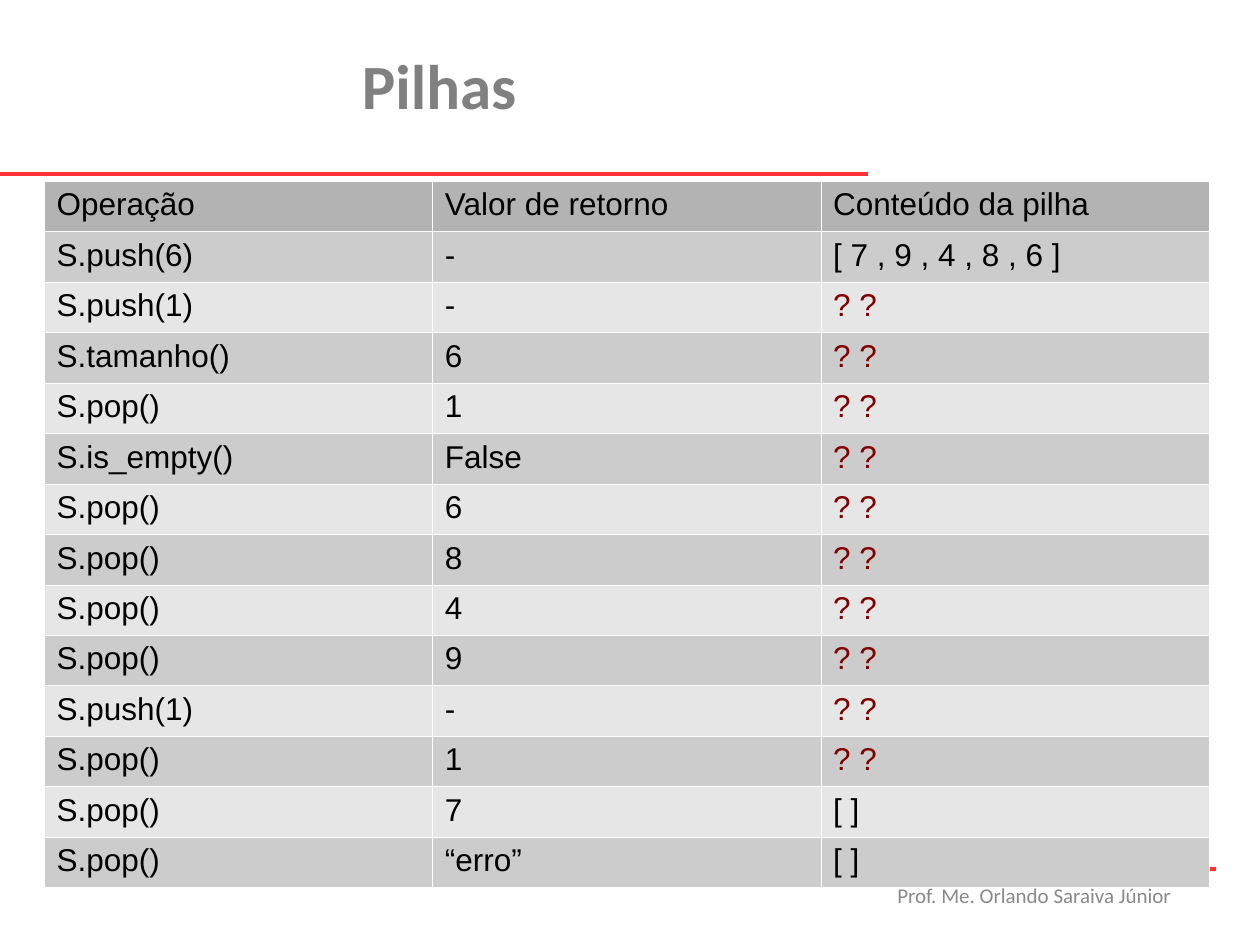
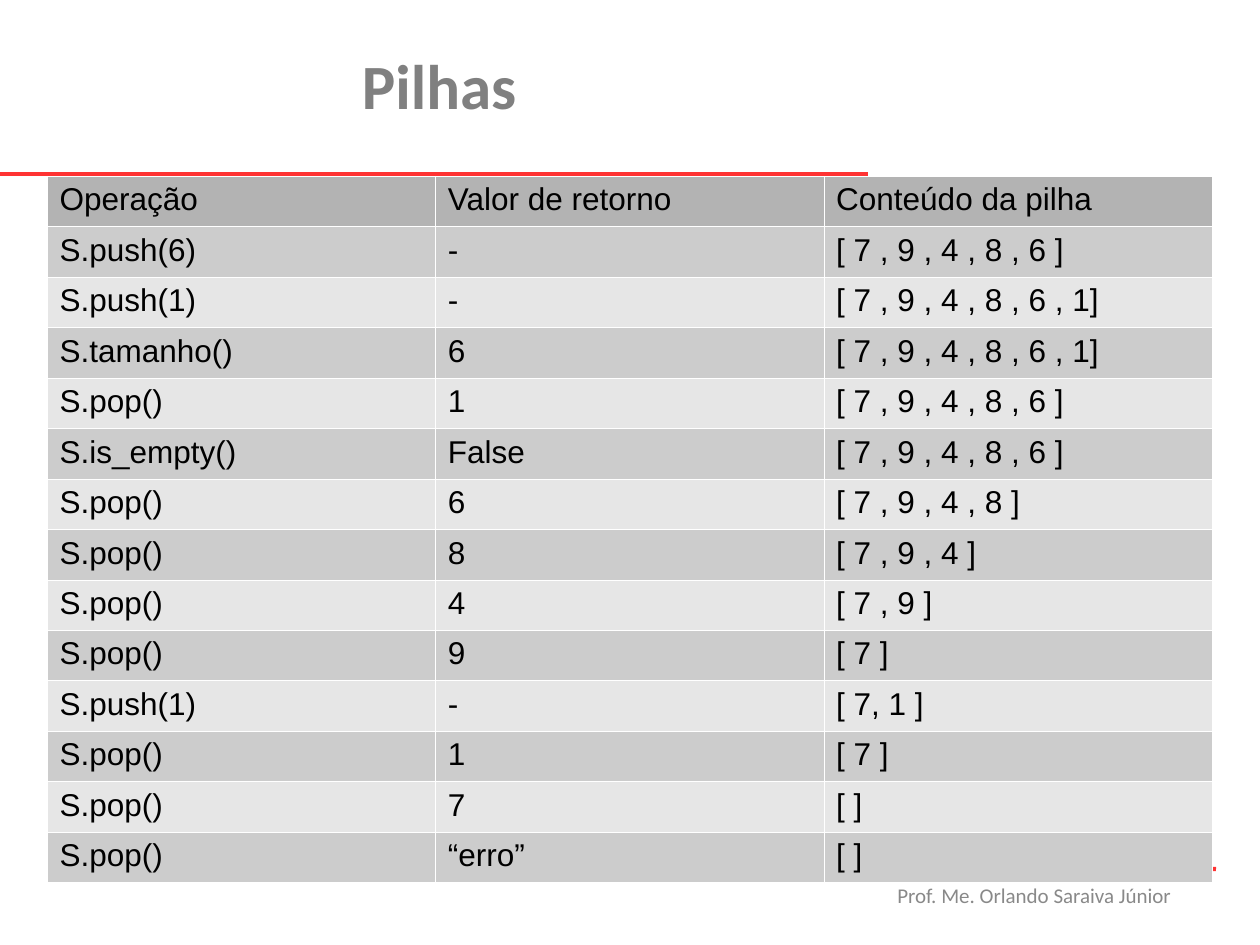
from lxml import etree
from pptx import Presentation
from pptx.dml.color import RGBColor
from pptx.enum.shapes import MSO_CONNECTOR
from pptx.enum.text import PP_ALIGN
from pptx.oxml.ns import qn
from pptx.util import Emu, Pt

COLORS = {
    "rule": "FF3333", "title": "808080", "footer": "898989",
    "header": "B3B3B3", "odd": "CCCCCC", "even": "E6E6E6",
    "text": "000000", "unknown": "800000", "border": "FFFFFF",
}
TITLE = "Pilhas"
FOOTER = "Prof. Me. Orlando Saraiva Júnior"
HEADER = ("Operação", "Valor de retorno", "Conteúdo da pilha")
UNKNOWN = "? ?"
STEPS = [
    ("S.push(6)", "-", "[ 7 , 9 , 4 , 8 , 6 ]"),
    ("S.push(1)", "-", "[ 7 , 9 , 4 , 8 , 6 , 1]"),
    ("S.tamanho()", "6", "[ 7 , 9 , 4 , 8 , 6 , 1]"),
    ("S.pop()", "1", "[ 7 , 9 , 4 , 8 , 6 ]"),
    ("S.is_empty()", "False", "[ 7 , 9 , 4 , 8 , 6 ]"),
    ("S.pop()", "6", "[ 7 , 9 , 4 , 8 ]"),
    ("S.pop()", "8", "[ 7 , 9 , 4 ]"),
    ("S.pop()", "4", "[ 7 , 9 ]"),
    ("S.pop()", "9", "[ 7 ]"),
    ("S.push(1)", "-", "[ 7, 1 ]"),
    ("S.pop()", "1", "[ 7 ]"),
    ("S.pop()", "7", "[ ]"),
    ("S.pop()", "“erro”", "[ ]"),
]
HIDDEN_STEPS = range(1, 11)
EXERCISE = [
    (op, value, UNKNOWN if i in HIDDEN_STEPS else stack)
    for i, (op, value, stack) in enumerate(STEPS)
]
SLIDES = [
    {"steps": EXERCISE, "box": (44, 181, 1165, 688)},
    {"steps": STEPS, "box": (47, 176, 1165, 706)},
]
RULES = [((-5, 174), (868, 174)), ((446, 868), (1216, 869))]
TITLE_BOX = (0, 38, 893, 157)
FOOTER_BOX = (885, 876, 299, 63)
PX_PER_INCH = 126


def px(n):
    return Emu(round(n * 914400 / PX_PER_INCH))


def rgb(name):
    return RGBColor.from_string(COLORS[name])


def style(p, font, size, color, bold=False):
    p.font.name = font
    p.font.size = Pt(size)
    p.font.bold = bold
    p.font.color.rgb = rgb(color)


def add_text(slide, box, text, size, color, bold=False, wrap=True):
    tf = slide.shapes.add_textbox(*map(px, box)).text_frame
    tf.word_wrap = wrap
    p = tf.paragraphs[0]
    p.text = text
    style(p, "Calibri", size, color, bold)
    return tf


def add_frame(slide):
    for start, end in RULES:
        line = slide.shapes.add_connector(
            MSO_CONNECTOR.STRAIGHT, *map(px, start + end))
        line.line.color.rgb = rgb("rule")
        line.line.width = Pt(2.5)
        etree.SubElement(line._element.spPr, qn("a:effectLst"))
    add_text(slide, FOOTER_BOX, FOOTER, 12, "footer", wrap=False)
    tf = add_text(slide, TITLE_BOX, TITLE, 36, "title", bold=True)
    tf.margin_top = px(9)
    tf.margin_right = px(27)
    tf.paragraphs[0].alignment = PP_ALIGN.CENTER


def add_borders(cell):
    tcPr = cell._tc.get_or_add_tcPr()
    for side in ("lnL", "lnR", "lnT", "lnB"):
        ln = etree.SubElement(tcPr, qn(f"a:{side}"), w=str(Pt(0.06)))
        fill = etree.SubElement(ln, qn("a:solidFill"))
        etree.SubElement(fill, qn("a:srgbClr"), val=COLORS["border"])


def add_steps_table(slide, steps, box):
    rows = [HEADER, *steps]
    table = slide.shapes.add_table(
        len(rows), len(HEADER), *map(px, box)).table
    table.first_row = table.horz_banding = False
    for column in table.columns:
        column.width = px(box[2] / len(HEADER))
    for i, values in enumerate(rows):
        table.rows[i].height = px(box[3] / len(rows))
        band = "header" if i == 0 else "odd" if i % 2 else "even"
        for j, value in enumerate(values):
            cell = table.cell(i, j)
            add_borders(cell)
            cell.fill.solid()
            cell.fill.fore_color.rgb = rgb(band)
            p = cell.text_frame.paragraphs[0]
            p.text = value
            style(p, "Arial", 18, "unknown" if value == UNKNOWN else "text")


def main():
    prs = Presentation()
    prs.slide_width, prs.slide_height = px(1260), px(945)
    for content in SLIDES:
        slide = prs.slides.add_slide(prs.slide_layouts[6])
        add_frame(slide)
        add_steps_table(slide, **content)
    prs.save("out.pptx")


if __name__ == "__main__":
    main()
